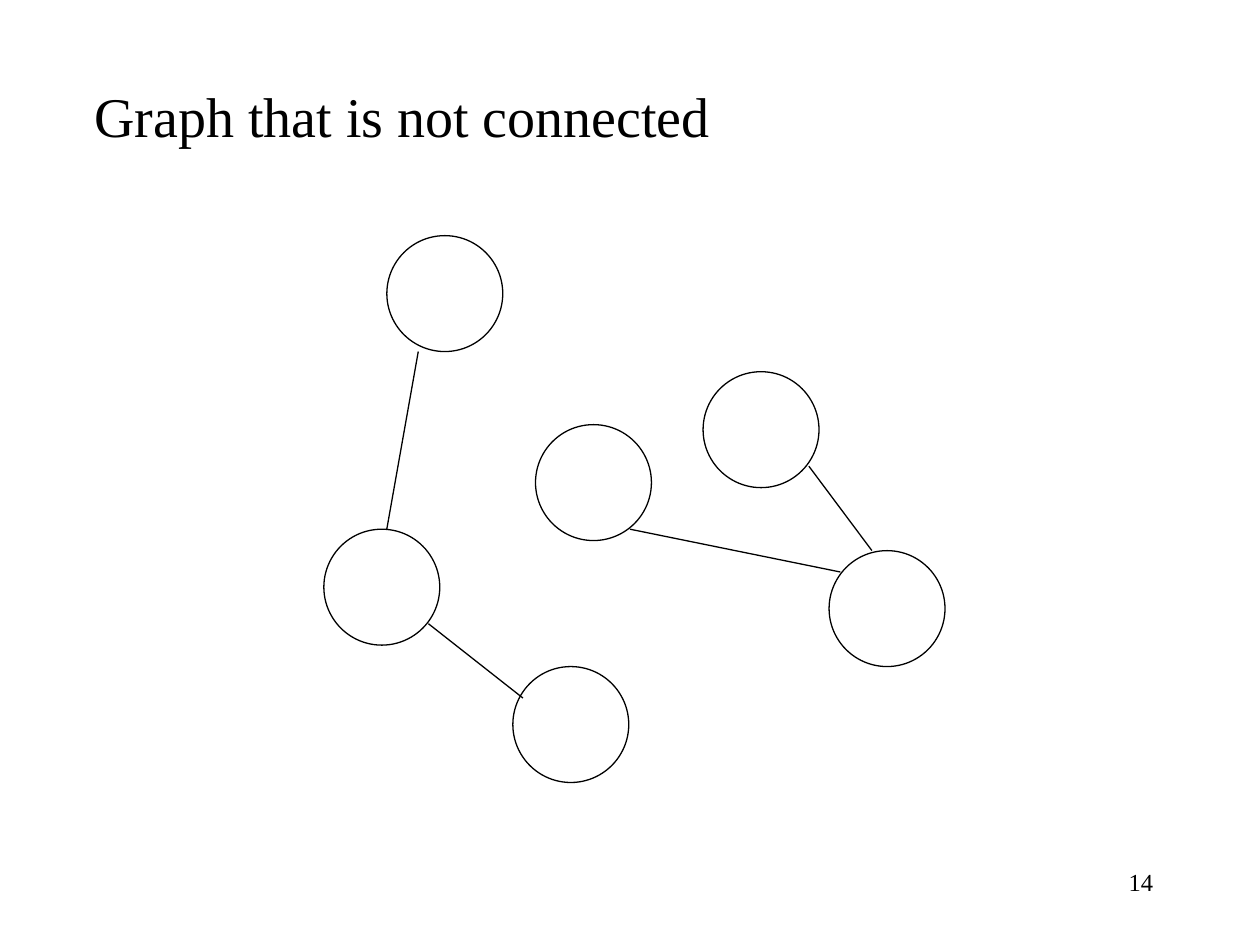
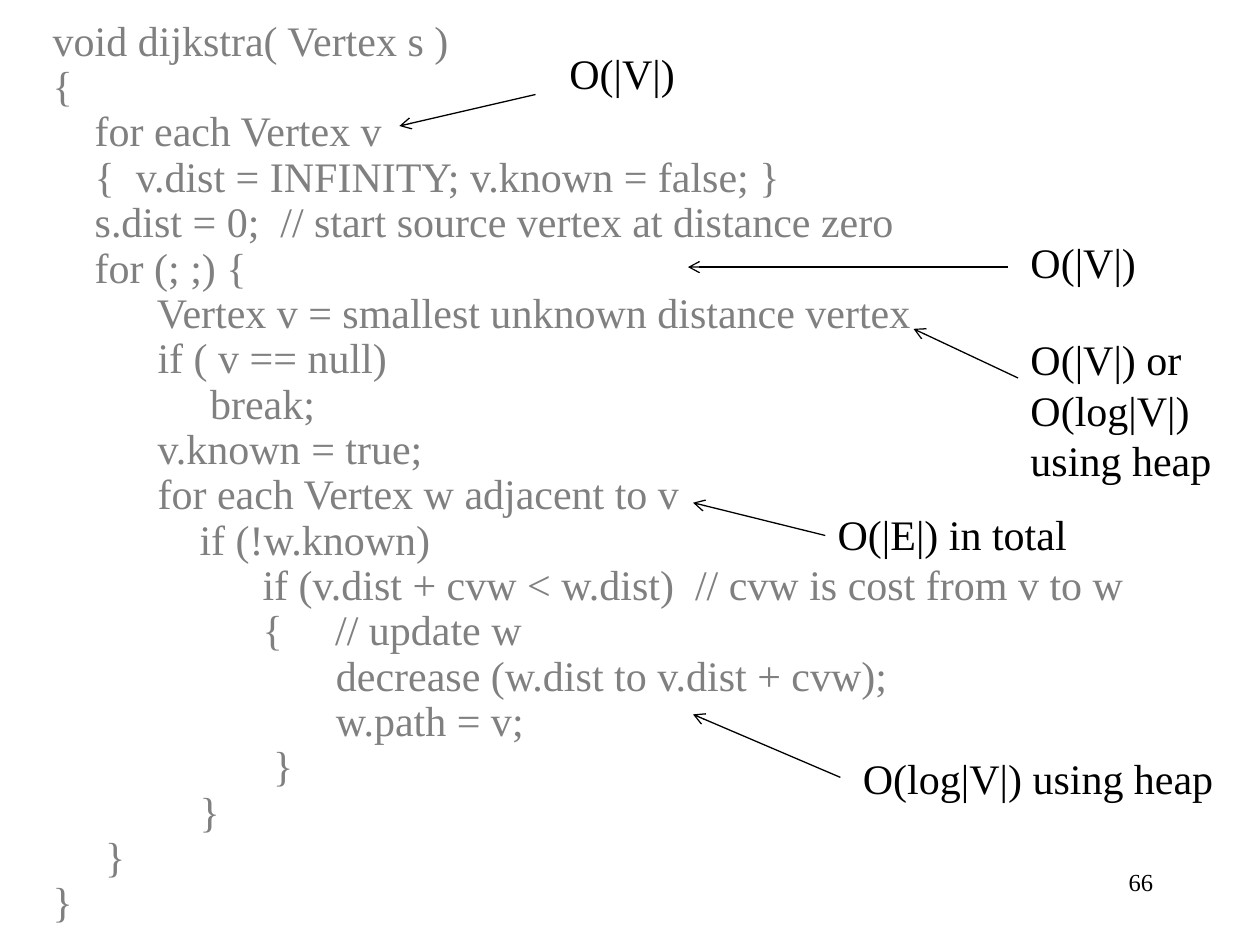
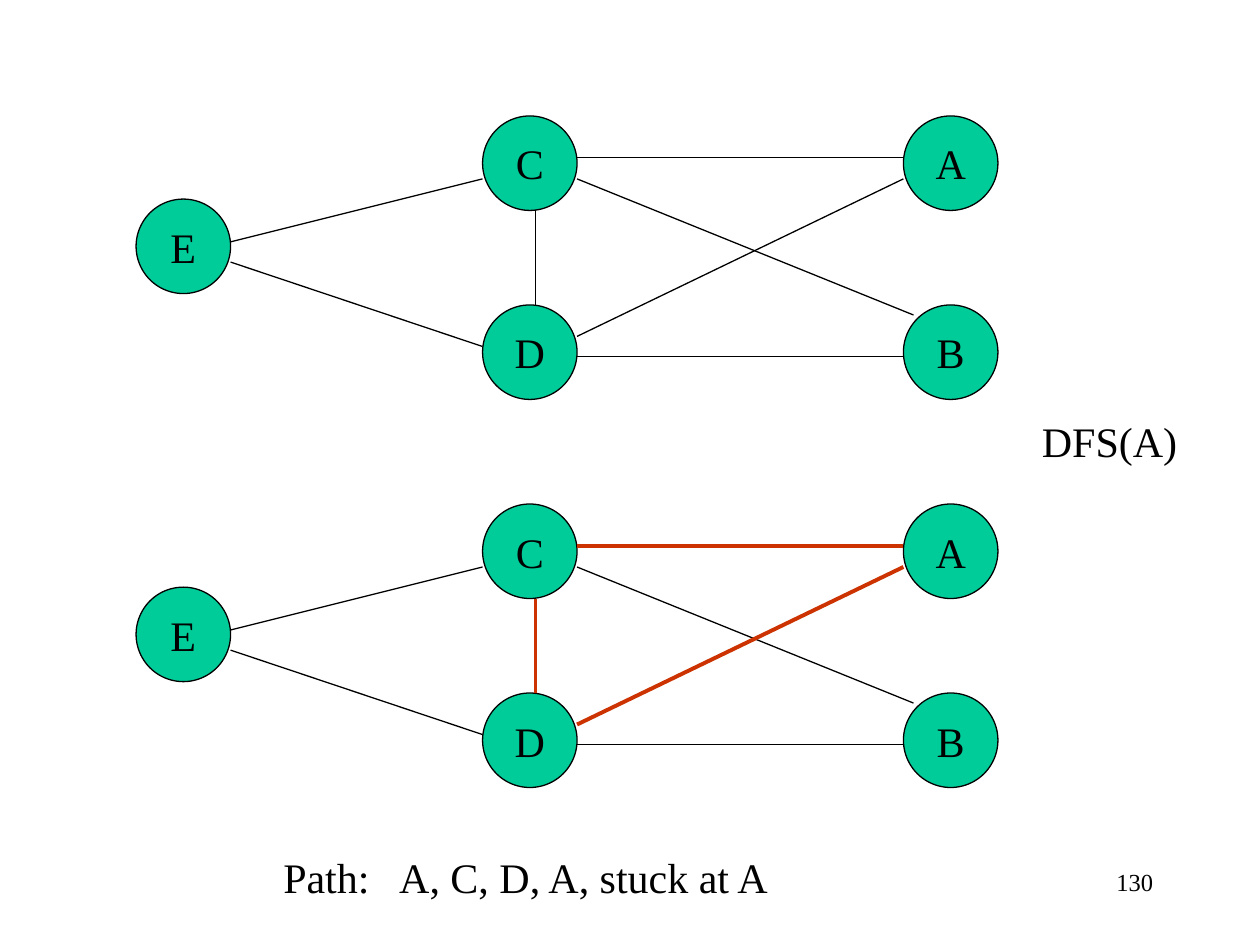
from dataclasses import dataclass
from typing import Optional

from lxml.etree import SubElement
from pptx import Presentation
from pptx.dml.color import RGBColor
from pptx.enum.shapes import MSO_CONNECTOR, MSO_SHAPE
from pptx.enum.text import MSO_ANCHOR, PP_ALIGN
from pptx.oxml.ns import qn
from pptx.slide import Slide
from pptx.util import Inches, Pt

FONT = "Times New Roman"
BLACK = "000000"
GRAY = "808080"
GREEN = "00CC99"
RED = "CC3300"
THIN = 0.75
THICK = 2.25
DROP = 3.08

CODE = """\
void dijkstra( Vertex s )
{
    for each Vertex v
    {  v.dist = INFINITY; v.known = false; }
    s.dist = 0;  // start source vertex at distance zero
    for (; ;) {
          Vertex v = smallest unknown distance vertex
          if ( v == null)
               break;
          v.known = true;
          for each Vertex w adjacent to v
              if (!w.known)
                    if (v.dist + cvw < w.dist)  // cvw is cost from v to w
                    {     // update w
                           decrease (w.dist to v.dist + cvw);
                           w.path = v;
                     }
              }
     }
}"""


@dataclass(frozen=True)
class Label:
    """Text with its place and style."""
    text: str
    left: float
    top: float
    width: float
    height: float = 0.5
    size: int = 24
    color: str = BLACK
    align: PP_ALIGN = PP_ALIGN.LEFT
    wrap: bool = False
    space: Optional[float] = None
    tab: Optional[float] = None


@dataclass(frozen=True)
class Node:
    """Circle of a graph, with its name."""
    left: float
    top: float
    size: float = 0.75
    name: str = ""
    fill: Optional[str] = None


@dataclass(frozen=True)
class Edge:
    """Straight line between two points."""
    x1: float
    y1: float
    x2: float
    y2: float
    arrow: bool = False


LOOSE_NODES = [
    Node(left, top, 0.92) for left, top in (
        (4.25, 3.37), (4.07, 5.29), (5.58, 2.95),
        (3.07, 1.87), (6.58, 4.37), (2.57, 4.2))
]
LOOSE_EDGES = [
    Edge(3.32, 2.79, 3.07, 4.2),
    Edge(4.15, 5.54, 3.4, 4.95),
    Edge(5, 4.2, 6.67, 4.54),
    Edge(6.92, 4.37, 6.42, 3.7),
]
COSTS = [
    Label("O(|V|)", 4.42, 0.33, 1.05),
    Label("O(|V|) or\nO(log|V|)\nusing heap", 8.08, 2.6, 1.65, 1.31),
    Label("O(|E|) in total", 6.55, 3.99, 2.03),
    Label("O(log|V|) using heap", 6.75, 5.92, 3.01),
    Label("O(|V|)", 8.08, 1.83, 1.05),
]
ARROWS = [
    Edge(4.25, 0.75, 3.17, 1, True),
    Edge(8.08, 3, 7.25, 2.61, True),
    Edge(6.55, 4.25, 5.5, 3.99, True),
    Edge(6.67, 6.17, 5.5, 5.67, True),
    Edge(8, 2.12, 5.46, 2.12, True),
]
NODES = {
    "A": (7.17, 0.92),
    "B": (7.17, 2.42),
    "C": (3.83, 0.92),
    "D": (3.83, 2.42),
    "E": (1.08, 1.58),
}
EDGES = {
    "AC": (7.17, 1.25, 4.58, 1.25),
    "BD": (7.17, 2.83, 4.58, 2.83),
    "CE": (3.83, 1.42, 1.83, 1.92),
    "DE": (3.83, 2.75, 1.83, 2.08),
    "CD": (4.25, 1.67, 4.25, 2.42),
    "CB": (4.58, 1.42, 7.25, 2.5),
    "DA": (4.58, 2.67, 7.17, 1.42),
}


def paint(color: str) -> RGBColor:
    """Turn a hex string into a colour."""
    return RGBColor.from_string(color)


def add_run(para, text: str, size: int, color: str) -> None:
    """Add one styled run to a paragraph."""
    run = para.add_run()
    run.text = text
    run.font.name = FONT
    run.font.size = Pt(size)
    run.font.color.rgb = paint(color)


def add_label(slide: Slide, label: Label) -> None:
    """Draw a text box, one paragraph a line."""
    box = slide.shapes.add_textbox(
        Inches(label.left), Inches(label.top),
        Inches(label.width), Inches(label.height))
    frame = box.text_frame
    frame.word_wrap = label.wrap
    for index, line in enumerate(label.text.split("\n")):
        para = frame.add_paragraph() if index else frame.paragraphs[0]
        para.alignment = label.align
        if label.space:
            para.line_spacing = label.space
        if label.tab:
            tabs = SubElement(para._p.get_or_add_pPr(), qn("a:tabLst"))
            SubElement(tabs, qn("a:tab"), pos=str(Inches(label.tab)), algn="l")
        add_run(para, line, label.size, label.color)


def add_node(slide: Slide, node: Node) -> None:
    """Draw a circle, filled and named if asked."""
    size = Inches(node.size)
    shape = slide.shapes.add_shape(
        MSO_SHAPE.OVAL, Inches(node.left), Inches(node.top), size, size)
    shape.shadow.inherit = False
    shape.line.color.rgb = paint(BLACK)
    shape.line.width = Pt(THIN)
    if node.fill:
        shape.fill.solid()
        shape.fill.fore_color.rgb = paint(node.fill)
    else:
        shape.fill.background()
    if node.name:
        frame = shape.text_frame
        frame.word_wrap = False
        frame.vertical_anchor = MSO_ANCHOR.MIDDLE
        para = frame.paragraphs[0]
        para.alignment = PP_ALIGN.CENTER
        add_run(para, node.name, 24, BLACK)


def add_edge(slide: Slide, edge: Edge, color: str = BLACK,
             width: float = THIN) -> None:
    """Draw a line, with an arrowhead if asked."""
    link = slide.shapes.add_connector(
        MSO_CONNECTOR.STRAIGHT, Inches(edge.x1), Inches(edge.y1),
        Inches(edge.x2), Inches(edge.y2))
    link.line.color.rgb = paint(color)
    link.line.width = Pt(width)
    if edge.arrow:
        SubElement(link.line._get_or_add_ln(), qn("a:tailEnd"), type="arrow")
    SubElement(link._element.spPr, qn("a:effectLst"))


def add_graph(slide: Slide, drop: float, path: tuple[str, ...] = ()) -> None:
    """Draw the five-node graph, with the edges of a path in red."""
    for name, (left, top) in NODES.items():
        add_node(slide, Node(left, top + drop, name=name, fill=GREEN))
    for key, (x1, y1, x2, y2) in EDGES.items():
        style = (RED, THICK) if key in path else (BLACK, THIN)
        add_edge(slide, Edge(x1, y1 + drop, x2, y2 + drop), *style)


def add_page(deck, number: int) -> Slide:
    """Add a blank slide with its page number."""
    slide = deck.slides.add_slide(deck.slide_layouts[6])
    add_label(slide, Label(str(number), 7.17, 6.83, 2.08, size=14,
                           align=PP_ALIGN.RIGHT, wrap=True))
    return slide


def draw_loose(deck) -> None:
    """Build the slide of the graph in two parts."""
    slide = add_page(deck, 14)
    add_label(slide, Label("Graph that is not connected",
                           0.65, 0.6, 5.09, 0.63, size=32))
    for node in LOOSE_NODES:
        add_node(slide, node)
    for edge in LOOSE_EDGES:
        add_edge(slide, edge)


def draw_code(deck) -> None:
    """Build the slide of code with its costs."""
    slide = add_page(deck, 66)
    add_label(slide, Label(CODE, 0.32, 0.11, 8.78, 7.37,
                           color=GRAY, space=0.9))
    for cost, arrow in zip(COSTS, ARROWS):
        add_label(slide, cost)
        add_edge(slide, arrow)


def draw_search(deck) -> None:
    """Build the slide of the depth-first search."""
    slide = add_page(deck, 130)
    add_graph(slide, 0)
    add_label(slide, Label("DFS(A)", 8.17, 3.25, 1.28))
    add_graph(slide, DROP, ("AC", "CD", "DA"))
    add_label(slide, Label("Path:\tA, C, D, A, stuck at A",
                           2.15, 6.71, 4.1, tab=0.92))


def main() -> None:
    """Build and save the deck."""
    deck = Presentation()
    deck.slide_width = Inches(10)
    deck.slide_height = Inches(7.5)
    for draw in (draw_loose, draw_code, draw_search):
        draw(deck)
    deck.save("out.pptx")


if __name__ == "__main__":
    main()
